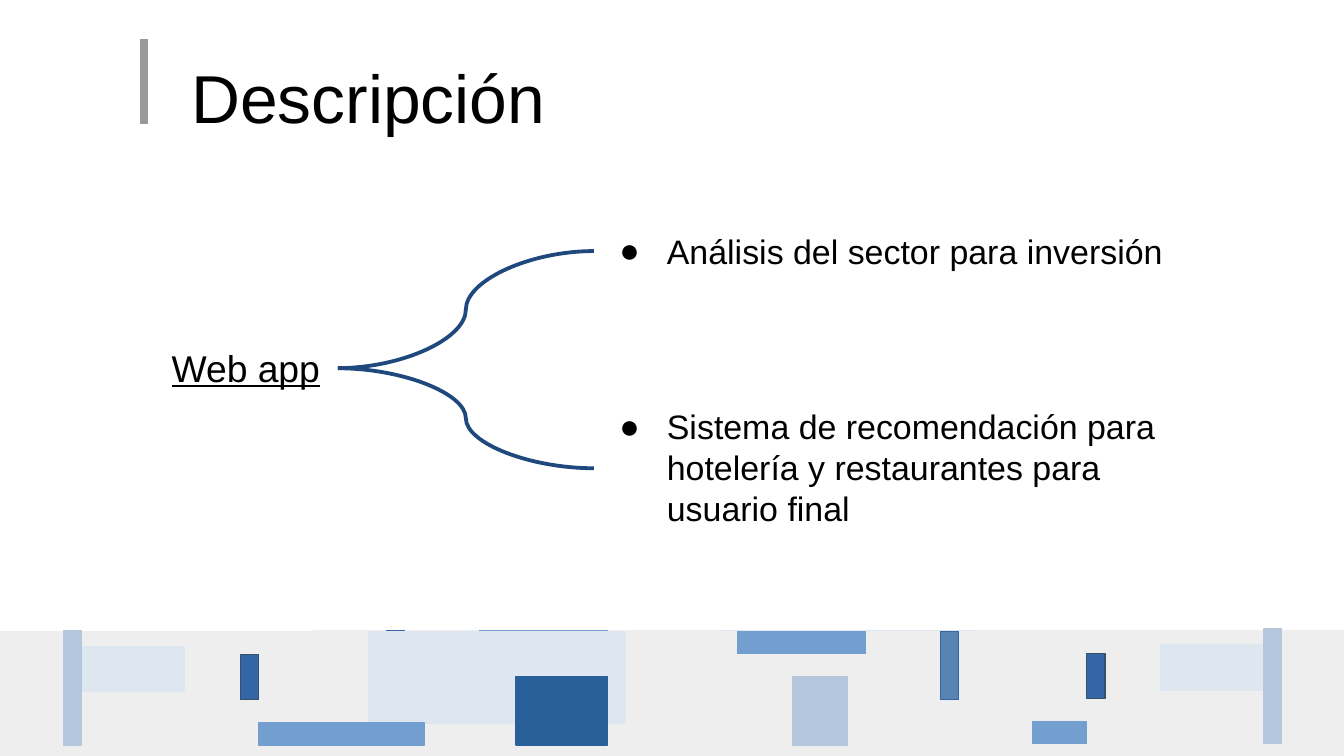
from lxml.etree import SubElement
from pptx import Presentation
from pptx.dml.color import RGBColor
from pptx.enum.shapes import MSO_CONNECTOR as Connector, MSO_SHAPE as Shape
from pptx.enum.text import MSO_ANCHOR as Anchor, MSO_AUTO_SIZE as AutoSize
from pptx.oxml.ns import qn
from pptx.util import Inches, Pt

WIDTH, HEIGHT = 11.02, 6.2
MIRROR_AXIS_SUM = 11.03
MIRROR_RISE = 0.01

PALE, MIST, STEEL = "EEEEEE", "DEE6EF", "B4C7DC"
SKY, SLATE, ROYAL, NAVY = "729FCF", "5983B0", "3465A4", "2A6099"

TILES = [
    (0, 5.18, 8.46, 1.03, PALE, PALE, True),
    (0.61, 5.3, 0.9, 0.37, MIST, MIST, True),
    (1.97, 5.37, 0.15, 0.37, ROYAL, "355269", True),
    (0.52, 5.17, 0.15, 0.94, STEEL, STEEL, True),
    (3.02, 5.18, 2.11, 0.75, MIST, MIST, True),
    (4.23, 5.55, 0.75, 0.56, NAVY, NAVY, False),
    (7.71, 5.18, 0.15, 0.56, SLATE, ROYAL, True),
    (6.05, 5.18, 1.05, 0.18, SKY, SKY, True),
    (6.5, 5.55, 0.45, 0.56, STEEL, STEEL, False),
    (2.12, 5.93, 1.36, 0.18, SKY, SKY, True),
]

FEATURES = [
    ("Análisis del sector para inversión", 1.79, 0.54, 2.06),
    ("Sistema de recomendación para hotelería y restaurantes para usuario final",
     3.23, 1.21, 3.84),
]


def color(value):
    return RGBColor.from_string(value)


class SlideBuilder:
    font = "Arial"
    text_color = "000000"

    def __init__(self, slide):
        self.slide = slide

    def tile(self, left, top, width, height, fill, outline):
        shape = self.slide.shapes.add_shape(
            Shape.RECTANGLE, Inches(left), Inches(top), Inches(width), Inches(height))
        shape.shadow.inherit = False
        shape.fill.solid()
        shape.fill.fore_color.rgb = color(fill)
        shape.line.color.rgb = color(outline)
        shape.line.width = Pt(0.75)

    def connector(self, kind, start, end, line_color, width):
        connector = self.slide.shapes.add_connector(
            kind, *(Inches(value) for value in start + end))
        connector.line.color.rgb = color(line_color)
        connector.line.width = Pt(width)
        SubElement(connector._element.spPr, qn("a:effectLst"))

    def text(self, content, left, top, width, height, size, inset=0.1,
             anchor=Anchor.TOP, underline=False, bullet=None):
        box = self.slide.shapes.add_textbox(
            Inches(left), Inches(top), Inches(width), Inches(height))
        frame = box.text_frame
        frame.word_wrap = True
        frame.auto_size = AutoSize.SHAPE_TO_FIT_TEXT if inset else AutoSize.NONE
        frame.vertical_anchor = anchor
        frame.margin_left = frame.margin_right = Inches(inset)
        frame.margin_top = frame.margin_bottom = Inches(inset)
        paragraph = frame.paragraphs[0]
        run = paragraph.add_run()
        run.text = content
        run.font.name = self.font
        run.font.size = Pt(size)
        run.font.color.rgb = color(self.text_color)
        if underline:
            run.font.underline = True
        if bullet:
            self.bullet(paragraph, bullet)

    def bullet(self, paragraph, symbol):
        properties = paragraph._p.get_or_add_pPr()
        properties.set("marL", str(Inches(0.5)))
        properties.set("indent", str(Inches(-0.39)))
        bullet_color = SubElement(properties, qn("a:buClr"))
        SubElement(bullet_color, qn("a:srgbClr"), val=self.text_color)
        SubElement(properties, qn("a:buFont"), typeface=self.font)
        SubElement(properties, qn("a:buChar"), char=symbol)


def main():
    presentation = Presentation()
    presentation.slide_width = Inches(WIDTH)
    presentation.slide_height = Inches(HEIGHT)
    slide = presentation.slides.add_slide(presentation.slide_layouts[6])
    builder = SlideBuilder(slide)

    for left, top, width, height, fill, outline, mirrored in TILES:
        if mirrored:
            builder.tile(MIRROR_AXIS_SUM - left - width, top - MIRROR_RISE,
                         width, height, fill, outline)
    for *tile, _ in TILES:
        builder.tile(*tile)

    builder.connector(Connector.STRAIGHT, (1.18, 0.32), (1.18, 1.02), "999999", 4.31)
    builder.text("Descripción", 1.57, 0.28, 8.86, 1.03, 40, inset=0, anchor=Anchor.MIDDLE)
    builder.text("Web app", 1.31, 2.73, 1.47, 0.57, 22, underline=True)

    for label, top, height, branch_end in FEATURES:
        builder.connector(Connector.CURVE, (2.77, 3.02), (4.87, branch_end), "1F497D", 2.25)
        builder.text(label, 4.87, top, 5.06, height, 20, bullet="●")

    presentation.save("out.pptx")


if __name__ == "__main__":
    main()
